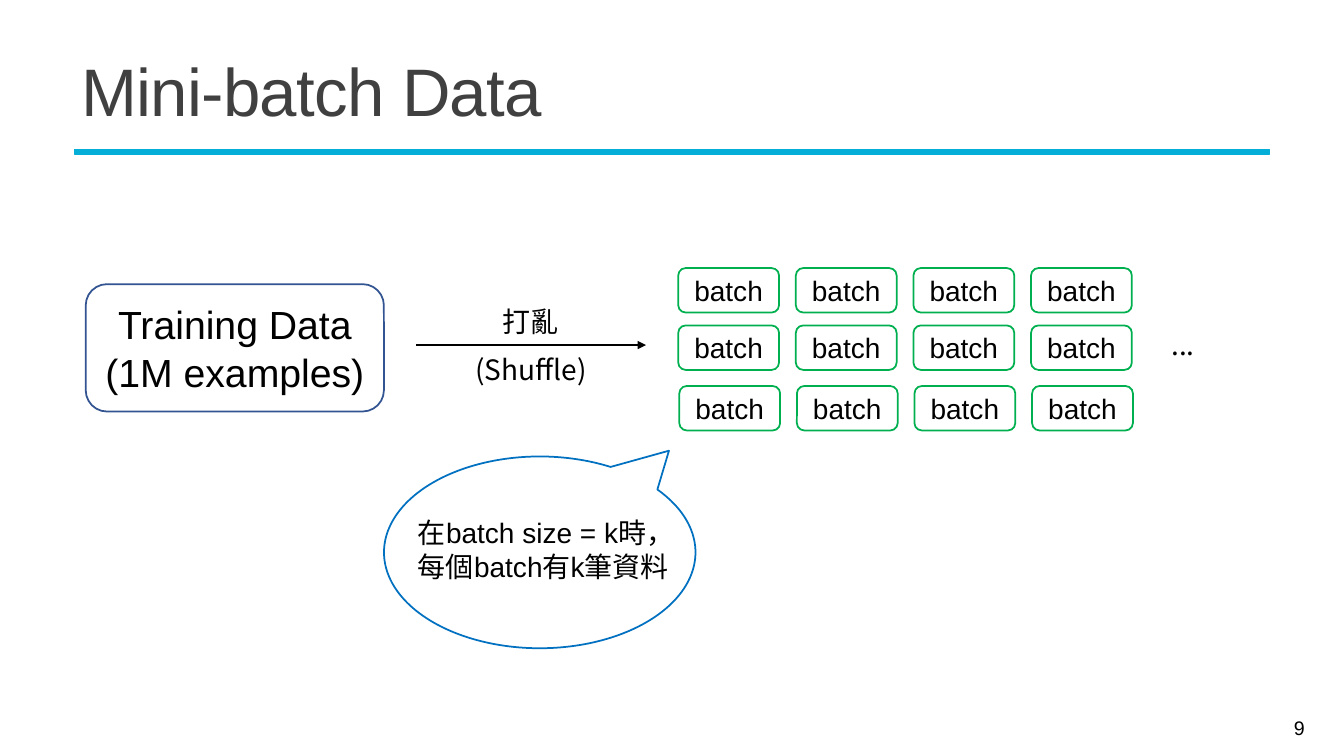
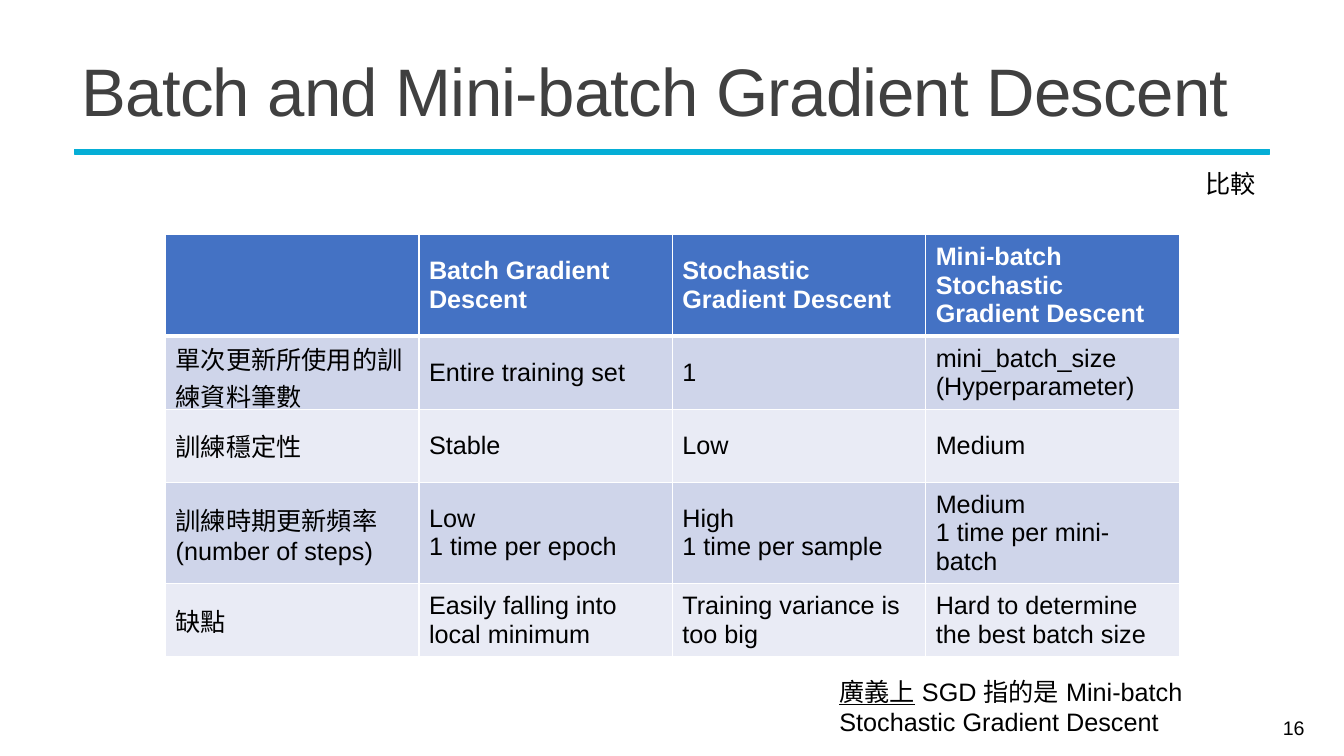
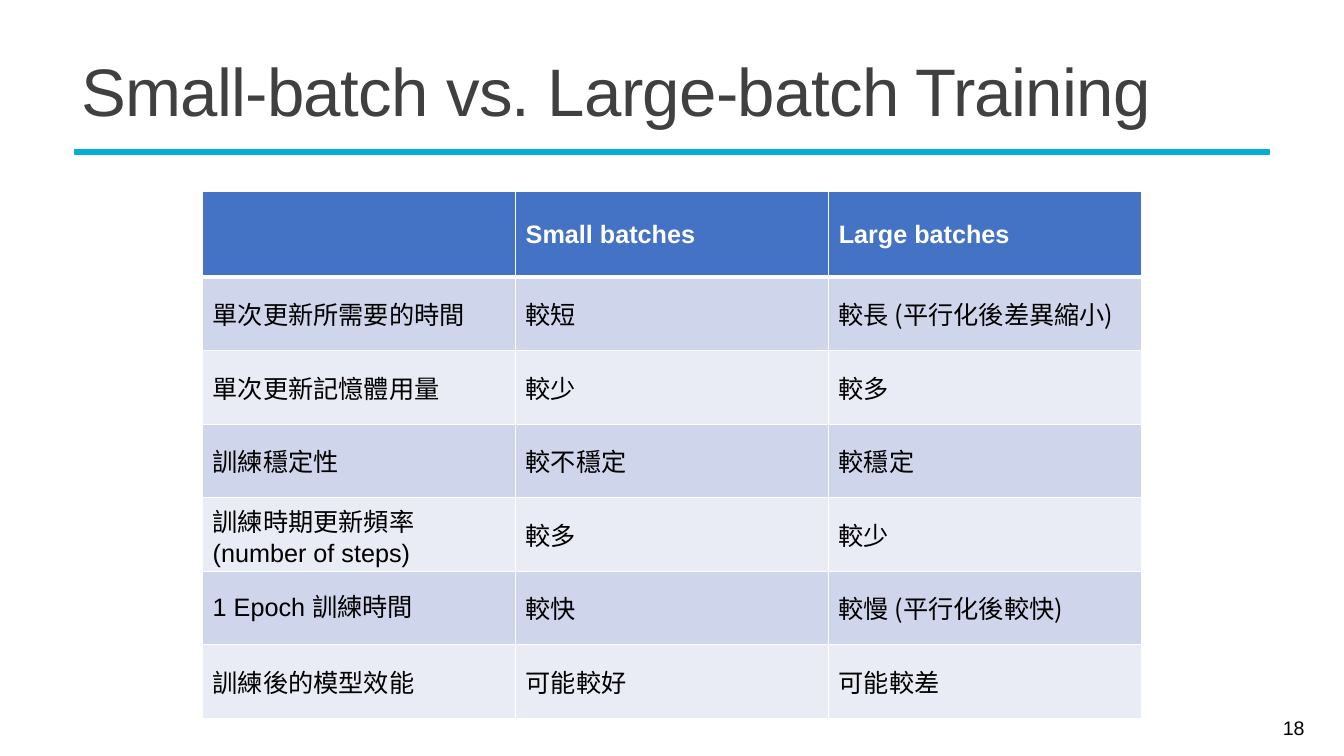
from pptx import Presentation
from pptx.dml.color import RGBColor
from pptx.enum.shapes import MSO_CONNECTOR, MSO_SHAPE
from pptx.enum.text import MSO_ANCHOR, PP_ALIGN
from pptx.oxml.ns import qn
from pptx.util import Pt
from lxml.etree import SubElement

HUES = {
    "rule": "05AED6", "title": "404040", "text": "000000", "white": "FFFFFF",
    "data": "325491", "batch": "00B050", "note": "0070C0",
    "head": "4472C4", "odd": "CFD5EA", "even": "E9EBF5",
}
ARIAL, NOTO = "Arial", "Noto Sans CJK TC"
LEFT, MID, RIGHT = PP_ALIGN.LEFT, PP_ALIGN.CENTER, PP_ALIGN.RIGHT

GRID = {"rows": [(484.5, 191.5), (484.5, 232.5), (485.25, 275.75)],
        "cols": 4, "step": 84, "size": (72, 31.75)}
LABELS = [
    ("打亂", (327, 214, 104.5, 31.5)),
    ("(Shuffle)", (327, 248.5, 104.5, 31.5)),
    ("...", (819.5, 230.5, 51, 31.5)),
]
METHODS = [
    ["", "Batch Gradient Descent", "Stochastic Gradient Descent",
     "Mini-batch Stochastic Gradient Descent"],
    ["單次更新所使用的訓練資料筆數", "Entire training set", "1",
     "mini_batch_size\n(Hyperparameter)"],
    ["訓練穩定性", "Stable", "Low", "Medium"],
    ["訓練時期更新頻率\n(number of steps)", "Low\n1 time per epoch",
     "High\n1 time per sample", "Medium\n1 time per mini-batch"],
    ["缺點", "Easily falling into local minimum",
     "Training variance is too big", "Hard to determine the best batch size"],
]
SIZES = [
    ["", "Small batches", "Large batches"],
    ["單次更新所需要的時間", "較短", "較長 (平行化後差異縮小)"],
    ["單次更新記憶體用量", "較少", "較多"],
    ["訓練穩定性", "較不穩定", "較穩定"],
    ["訓練時期更新頻率\n(number of steps)", "較多", "較少"],
    ["1 Epoch 訓練時間", "較快", "較慢 (平行化後較快)"],
    ["訓練後的模型效能", "可能較好", "可能較差"],
]


def rgb(hue):
    return RGBColor.from_string(HUES[hue])


def pick(text):
    latin = any(c.isascii() and c.isalnum() for c in text)
    return ARIAL if latin else NOTO


def add_run(para, text, size, hue="text", face=None, bold=False, under=False):
    run = para.add_run()
    run.text = text
    font = run.font
    font.name = face or pick(text)
    font.size = Pt(size)
    font.color.rgb = rgb(hue)
    font.bold = bold
    if under:
        font.underline = True
    SubElement(font._element, qn("a:ea")).set("typeface", font.name)
    return run


def fill_text(frame, text, size, align=LEFT, **look):
    for i, line in enumerate(text.split("\n")):
        para = frame.add_paragraph() if i else frame.paragraphs[0]
        para.alignment = align
        if line:
            add_run(para, line, size, **look)


def add_box(slide, place, anchor=MSO_ANCHOR.TOP):
    frame = slide.shapes.add_textbox(*map(Pt, place)).text_frame
    frame.word_wrap = True
    frame.vertical_anchor = anchor
    return frame


def add_form(slide, kind, place, line, fill=None):
    form = slide.shapes.add_shape(kind, *map(Pt, place))
    form.shadow.inherit = False
    form.line.color.rgb = rgb(line)
    form.line.width = Pt(1.25)
    if fill:
        form.fill.solid()
        form.fill.fore_color.rgb = rgb(fill)
    else:
        form.fill.background()
    return form


def add_card(slide, place, text, size, line):
    card = add_form(slide, MSO_SHAPE.ROUNDED_RECTANGLE, place, line)
    card.text_frame.vertical_anchor = MSO_ANCHOR.MIDDLE
    fill_text(card.text_frame, text, size, MID)


def add_arrow(slide, *ends):
    arrow = slide.shapes.add_connector(MSO_CONNECTOR.STRAIGHT, *map(Pt, ends))
    arrow.line.color.rgb = rgb("text")
    arrow.line.width = Pt(1.5)
    SubElement(arrow.line._get_or_add_ln(), qn("a:tailEnd")).set("type", "triangle")
    SubElement(arrow._element.spPr, qn("a:effectLst"))


def add_edges(cell, widths):
    props = cell._tc.get_or_add_tcPr()
    for i, (side, width) in enumerate(widths.items()):
        edge = props.makeelement(qn("a:ln" + side), {"w": str(Pt(width))})
        paint = SubElement(edge, qn("a:solidFill"))
        SubElement(paint, qn("a:srgbClr")).set("val", HUES["white"])
        props.insert(i, edge)


def add_grid(slide, data, left, top, width):
    rows, cols = len(data), len(data[0])
    head, body = 61, 52.5
    high = head + body * (rows - 1)
    table = slide.shapes.add_table(
        rows, cols, Pt(left), Pt(top), Pt(width * cols), Pt(high)).table
    for col in table.columns:
        col.width = Pt(width)
    for r, line in enumerate(data):
        table.rows[r].height = Pt(body if r else head)
        hue = "head" if r == 0 else "odd" if r % 2 else "even"
        for c, text in enumerate(line):
            cell = table.cell(r, c)
            cell.vertical_anchor = MSO_ANCHOR.MIDDLE
            cell.fill.solid()
            cell.fill.fore_color.rgb = rgb(hue)
            add_edges(cell, {"L": 1, "R": 1, "T": 3 if r == 1 else 1,
                             "B": 1 if r else 3})
            fill_text(cell.text_frame, text, 18,
                      hue="text" if r else "white", bold=r == 0)


def add_page(deck, title, number):
    slide = deck.slides.add_slide(deck.slide_layouts[6])
    add_form(slide, MSO_SHAPE.RECTANGLE, (53.25, 106.75, 853.5, 3.5), "rule", "rule")
    para = add_box(slide, (51, 28, 860, 81.5), MSO_ANCHOR.MIDDLE).paragraphs[0]
    para.line_spacing = 0.85
    run = add_run(para, title, 48, "title")
    run.font._element.set("spc", "-50")
    foot = add_box(slide, (836, 505.5, 103, 28.75), MSO_ANCHOR.MIDDLE)
    fill_text(foot, number, 14, RIGHT)
    return slide


def draw_data(deck):
    slide = add_page(deck, "Mini-batch Data", "9")
    add_card(slide, (61.25, 203, 213, 91), "Training Data\n(1M examples)", 28, "data")
    add_arrow(slide, 297.5, 246.5, 461.5, 246.5)
    for text, place in LABELS:
        fill_text(add_box(slide, place), text, 20, MID, face=NOTO)
    for left, top in GRID["rows"]:
        for c in range(GRID["cols"]):
            place = (left + c * GRID["step"], top, *GRID["size"])
            add_card(slide, place, "batch", 20, "batch")
    call = add_form(slide, MSO_SHAPE.OVAL_CALLOUT, (274.25, 326, 222.5, 137), "note")
    call.rotation = 180
    call.adjustments[0], call.adjustments[1] = -0.415, 0.53
    note = add_box(slide, (291.5, 365, 196, 55.5))
    fill_text(note, "在batch size = k時，每個batch有k筆資料", 20)


def draw_methods(deck):
    slide = add_page(deck, "Batch and Mini-batch Gradient Descent", "16")
    add_grid(slide, METHODS, 118.25, 167.75, 181)
    fill_text(add_box(slide, (848, 116.5, 62, 29)), "比較", 18, MID)
    para = add_box(slide, (592.5, 479.5, 295, 51)).paragraphs[0]
    add_run(para, "廣義上", 18, face=ARIAL, under=True)
    add_run(para, " SGD 指的是 Mini-batch Stochastic Gradient Descent", 18)


def draw_sizes(deck):
    slide = add_page(deck, "Small-batch vs. Large-batch Training", "18")
    add_grid(slide, SIZES, 144.75, 137, 223.6)


def main():
    deck = Presentation()
    deck.slide_width, deck.slide_height = Pt(960), Pt(540)
    for draw in (draw_data, draw_methods, draw_sizes):
        draw(deck)
    deck.save("out.pptx")


if __name__ == "__main__":
    main()
